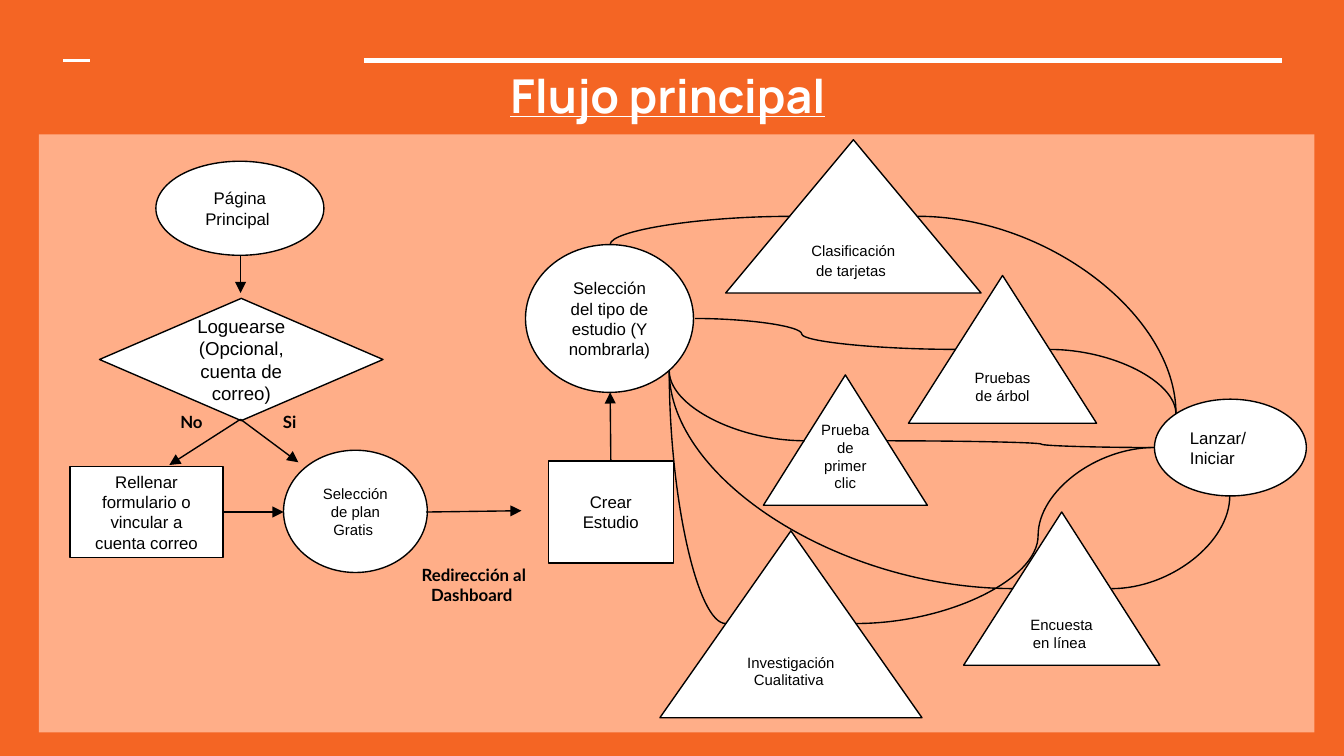
from lxml import etree
from pptx import Presentation
from pptx.dml.color import RGBColor
from pptx.enum.shapes import MSO_CONNECTOR as CONN, MSO_SHAPE as SHAPE
from pptx.enum.text import MSO_ANCHOR as ANCHOR, PP_ALIGN as ALIGN
from pptx.oxml.ns import qn
from pptx.util import Inches, Pt


def rgb(value):
    return RGBColor.from_string(value)


def add_line(kind, x1, y1, x2, y2, color="000000", width=0.75, arrow=False):
    ln = s.shapes.add_connector(kind, Inches(x1), Inches(y1), Inches(x2), Inches(y2))
    ln.line.color.rgb = rgb(color)
    ln.line.width = Pt(width)
    if arrow:
        etree.SubElement(ln.line._get_or_add_ln(), qn("a:tailEnd"), type="triangle")
    etree.SubElement(ln._element.spPr, qn("a:effectLst"))
    return ln


def write(sp, text, size, font="Arial", color="000000", anchor=ANCHOR.MIDDLE,
          align=ALIGN.CENTER, **style):
    """Fill a shape with one formatted paragraph; style holds extra font values."""
    tf = sp.text_frame
    frame = dict(word_wrap=True, vertical_anchor=anchor)
    for side in ("left", "top", "right", "bottom"):
        frame["margin_" + side] = Inches(0.1)
    for name, value in frame.items():
        setattr(tf, name, value)
    p = tf.paragraphs[0]
    p.text = text
    p.alignment = align
    for r in p.runs:
        r.font.color.rgb = rgb(color)
        for name, value in dict(style, name=font, size=Pt(size)).items():
            setattr(r.font, name, value)


prs = Presentation()
prs.slide_width, prs.slide_height = Inches(10), Inches(10) * 9 // 16
s = prs.slides.add_slide(prs.slide_layouts[6])
s.background.fill.solid()
s.background.fill.fore_color.rgb = rgb("F46524")

# Header
add_line(CONN.STRAIGHT, 2.71, 0.45, 9.54, 0.45, "FFFFFF", 3)
add_line(CONN.STRAIGHT, 0.47, 0.45, 0.67, 0.45, "FFFFFF", 1.5)
title = s.shapes.add_textbox(Inches(3.67), Inches(0.4), Inches(2.6), Inches(0.61))
write(title, "Flujo principal", 25, "Manrope", "FFFFFF", bold=True, underline=True)

panel = s.shapes.add_shape(SHAPE.RECTANGLE, Inches(0.29), Inches(1), Inches(9.49), Inches(4.45))
panel.shadow.inherit = False
panel.fill.solid()
panel.fill.fore_color.rgb = rgb("FFAE88")
panel.line.fill.background()

# Flow steps: shape, left, top, width, height, text, size, anchor, alignment
RECT, OVAL, ROUND = SHAPE.RECTANGLE, SHAPE.OVAL, SHAPE.FLOWCHART_CONNECTOR
TRI, RHOMB = SHAPE.ISOSCELES_TRIANGLE, SHAPE.DIAMOND
MID, LOW, CENTER = ANCHOR.MIDDLE, ANCHOR.BOTTOM, ALIGN.CENTER
steps = [
    (OVAL, 1.16, 1.2, 1.25, 0.7, "Página Principal ", 9, MID, CENTER),
    (RHOMB, 0.74, 2.22, 2.11, 0.91, "Loguearse (Opcional, cuenta de correo)", 10, MID, CENTER),
    (ROUND, 2.11, 3.35, 1.07, 0.91, "Selección de plan Gratis ", 8, MID, CENTER),
    (RECT, 4.08, 3.43, 0.93, 0.76, "Crear Estudio", 9, MID, CENTER),
    (RECT, 0.52, 3.47, 1.14, 0.68, "Rellenar formulario o vincular a cuenta correo", 9, MID, CENTER),
    (ROUND, 3.91, 1.82, 1.25, 1.1, "Selección del tipo de estudio (Y nombrarla)", 9, MID, CENTER),
    (TRI, 5.68, 2.79, 1.22, 0.97, "Prueba de primer clic", 8, LOW, CENTER),
    (TRI, 7.17, 3.81, 1.46, 1.14, "Encuesta en línea ", 8, LOW, CENTER),
    (TRI, 4.91, 3.95, 1.95, 1.39, "Investigación Cualitativa ", 8, MID, CENTER),
    (TRI, 6.76, 2.05, 1.4, 1.1, "Pruebas de árbol", 8, MID, CENTER),
    (TRI, 5.4, 1.04, 1.9, 1.14, "Clasificación de tarjetas", 8, LOW, CENTER),
    (OVAL, 8.59, 2.97, 1.13, 0.72, "Lanzar/\vIniciar", 9, MID, ALIGN.LEFT),
]
nodes = {}
for kind, x, y, w, h, text, size, anchor, align in steps:
    sp = s.shapes.add_shape(kind, Inches(x), Inches(y), Inches(w), Inches(h))
    sp.shadow.inherit = False
    sp.fill.solid()
    sp.fill.fore_color.rgb = rgb("FFFFFF")
    sp.line.color.rgb = rgb("000000")
    sp.line.width = Pt(0.75)
    write(sp, text, size, anchor=anchor, align=align)
    nodes[text.split()[0]] = sp

# A larger closing space sets the height of the last line
r = nodes["Clasificación"].text_frame.paragraphs[0].add_run()
r.text = " "
r.font.name, r.font.size = "Arial", Pt(9)

# Labels beside the arrows
for x, y, w, h, text in [
    (1.16, 2.97, 0.53, 0.34, "No"),
    (1.89, 2.97, 0.53, 0.34, "Si"),
    (3.02, 4.02, 1.01, 0.66, "Redirección al Dashboard "),
]:
    label = s.shapes.add_textbox(Inches(x), Inches(y), Inches(w), Inches(h))
    write(label, text, 9, "Lato", bold=True)

# Straight arrows
for ends in [
    (1.79, 1.9, 1.79, 2.18),
    (1.79, 3.12, 1.26, 3.46),
    (1.79, 3.12, 2.22, 3.44),
    (3.17, 3.81, 3.88, 3.8),
]:
    add_line(CONN.STRAIGHT, *ends, arrow=True)
to_study = add_line(CONN.STRAIGHT, 4.54, 3.43, 4.54, 2.92, arrow=True)
to_study.begin_connect(nodes["Crear"], 0)
to_plan = add_line(CONN.STRAIGHT, 1.66, 3.81, 2.11, 3.81, arrow=True)
to_plan.begin_connect(nodes["Rellenar"], 3)

# Quarter curves leave each triangle sideways and meet the round step vertically
for ends in [
    (5.88, 1.61, 4.54, 1.82),
    (5.99, 3.28, 4.98, 2.76),
    (5.4, 4.64, 4.98, 2.76),
    (7.54, 4.38, 4.98, 2.76),
    (6.83, 1.61, 8.75, 3.08),
    (7.81, 2.6, 8.75, 3.08),
    (8.27, 4.38, 9.15, 3.69),
]:
    curve = add_line(CONN.CURVE, *ends)
    curve._element.spPr.find(qn("a:prstGeom")).set("prst", "curvedConnector2")

# S curves; the last value places the bend, in thousandths of the width
for *ends, bend in [
    (5.17, 2.37, 7.11, 2.6, 410),
    (6.6, 3.28, 8.59, 3.33, 577),
    (6.37, 4.64, 8.59, 3.33, 610),
]:
    curve = add_line(CONN.CURVE, *ends)
    guides = curve._element.spPr.find(qn("a:prstGeom")).get_or_add_avLst()
    etree.SubElement(guides, qn("a:gd"), name="adj1", fmla=f"val {bend * 100}")

prs.save("out.pptx")
